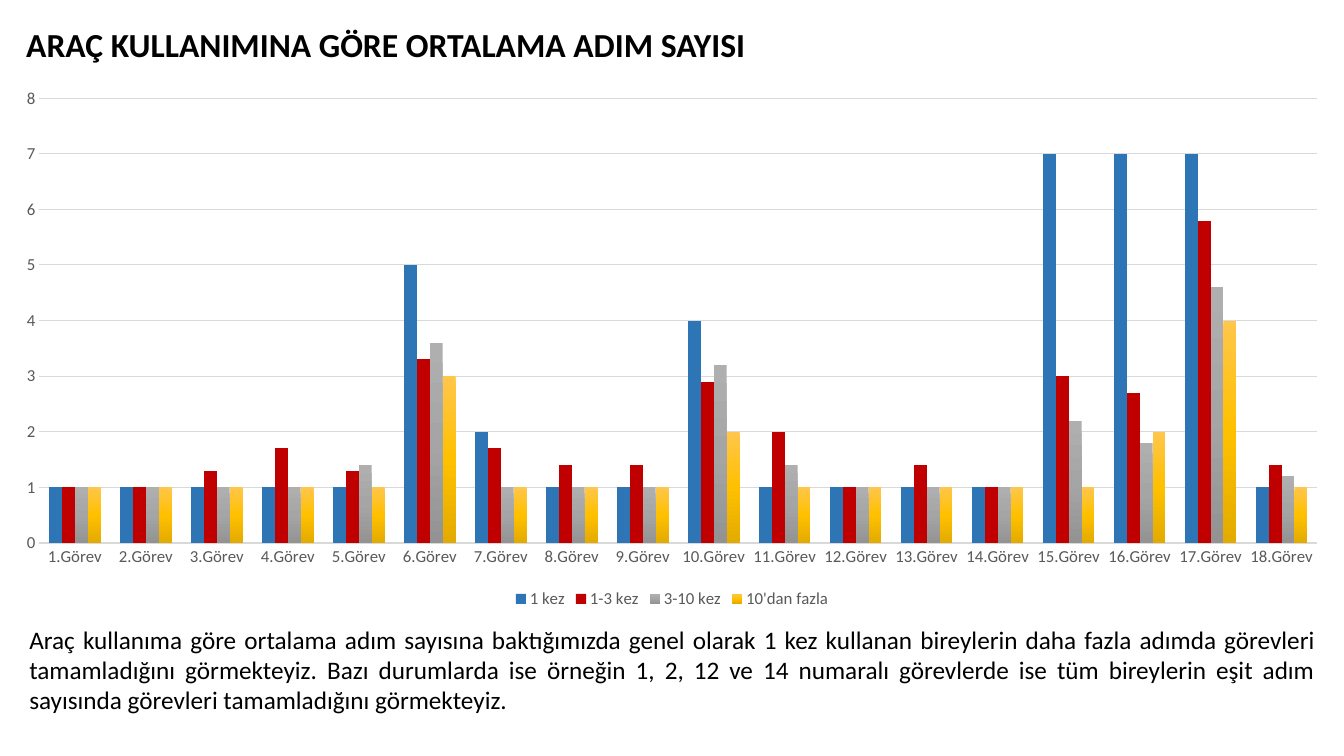
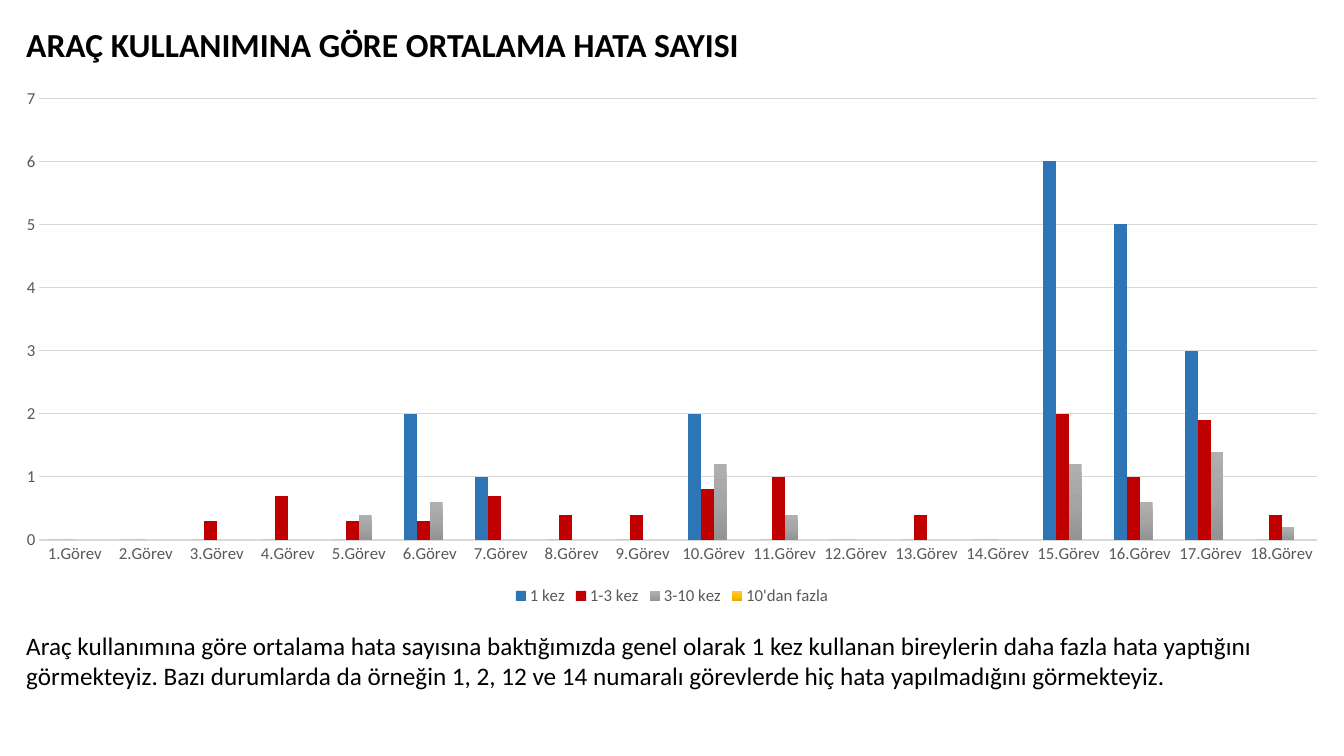
from copy import deepcopy
from dataclasses import dataclass

from pptx import Presentation
from pptx import util as u
from pptx.chart.data import CategoryChartData
from pptx.dml.color import RGBColor
from pptx.enum import chart as ch, text
from pptx.oxml import ns, xmlchemy


@dataclass(frozen=True)
class Theme:
    face: str = "Calibri"
    ink: str = "000000"
    soft: str = "595959"
    rule: str = "D9D9D9"
    # One colour is a solid fill, three are gradient stops from top to bottom
    bars: tuple = (
        ("2E75B6",),
        ("C00000",),
        ("AFAFAF", "A5A5A5", "939393"),
        ("FFC64B", "FFC000", "E3AB00"),
    )
    head: int = 24
    body: int = 18
    label: int = 12


# Chart labels shared by both slides
TASKS = [f"{n}.Görev" for n in range(1, 19)]
GROUPS = ["1 kez", "1-3 kez", "3-10 kez", "10'dan fazla"]


def put(obj, **vals):
    for key, val in vals.items():
        setattr(obj, key, val)


def inch(*sizes):
    return [u.Inches(size) for size in sizes]


class Deck:
    def __init__(self, theme):
        self.theme = theme
        self.prs = Presentation()
        put(self.prs, slide_width=u.Inches(13.33), slide_height=u.Inches(7.5))
        self.slide = None

    def add(self):
        self.slide = self.prs.slides.add_slide(self.prs.slide_layouts[1])

    def font(self, font, size, color, bold=False):
        put(font, name=self.theme.face, size=u.Pt(size), bold=bold)
        font.color.rgb = RGBColor.from_string(color)

    def fill(self, holder, words, box, size, align, bold=False):
        """Place a placeholder and give it one formatted paragraph."""
        left, top, width, height = inch(*box)
        put(holder, left=left, top=top, width=width, height=height)
        frame = holder.text_frame
        frame.text = words
        put(frame, word_wrap=True, vertical_anchor=text.MSO_ANCHOR.TOP,
            auto_size=text.MSO_AUTO_SIZE.SHAPE_TO_FIT_TEXT)
        para = frame.paragraphs[0]
        put(para, alignment=align, space_before=u.Pt(0), line_spacing=1.0)
        self.font(para.runs[0].font, size, self.theme.ink, bold)
        return para

    def title(self, words):
        self.fill(self.slide.shapes.title, words, (0.16, 0.19, 7.67, 0.5),
                  self.theme.head, text.PP_ALIGN.LEFT, True)

    def note(self, words, box, align):
        para = self.fill(self.slide.placeholders[1], words, box,
                         self.theme.body, align)
        # Plain text: no bullet, no hanging indent
        props = para._p.get_or_add_pPr()
        props.set("marL", "0")
        props.set("indent", "0")
        props.append(xmlchemy.OxmlElement("a:buNone"))

    def paint(self, bar, tones):
        fill = bar.format.fill
        if len(tones) == 1:
            fill.solid()
            fill.fore_color.rgb = RGBColor.from_string(tones[0])
            return
        fill.gradient()
        fill.gradient_angle = 270
        stops = next(bar._element.iter(ns.qn("a:gsLst")))
        while len(stops) < len(tones):
            stops.append(deepcopy(stops[0]))
        for i, (stop, tone) in enumerate(zip(fill.gradient_stops, tones)):
            stop.position = i / (len(tones) - 1)
            stop.color.rgb = RGBColor.from_string(tone)

    def line(self, line, width):
        line.width = u.Pt(width)
        line.color.rgb = RGBColor.from_string(self.theme.rule)

    def chart(self, rows, height, top):
        data = CategoryChartData()
        data.categories = TASKS
        for name, row in zip(GROUPS, rows):
            data.add_series(name, row)
        chart = self.slide.shapes.add_chart(
            ch.XL_CHART_TYPE.COLUMN_CLUSTERED,
            *inch(0, 0.77, 13.33, height), data).chart
        put(chart, has_title=False, has_legend=True)
        self.font(chart.font, 10, self.theme.ink)

        # Bars
        plot = chart.plots[0]
        put(plot, gap_width=150, overlap=0, vary_by_categories=False)
        for bar, tones in zip(plot.series, self.theme.bars):
            self.paint(bar, tones)

        # Axes and legend
        cat, val = chart.category_axis, chart.value_axis
        for axis in (cat, val):
            put(axis, major_tick_mark=ch.XL_TICK_MARK.NONE,
                minor_tick_mark=ch.XL_TICK_MARK.NONE)
            self.font(axis.tick_labels.font, self.theme.label, self.theme.soft)
        put(val, minimum_scale=0, maximum_scale=top, major_unit=1,
            has_major_gridlines=True)
        self.line(cat.format.line, 1)
        self.line(val.major_gridlines.format.line, 0.75)
        val.format.line.fill.background()
        put(chart.legend, position=ch.XL_LEGEND_POSITION.BOTTOM,
            include_in_layout=False)
        self.font(chart.legend.font, self.theme.label, self.theme.soft)


def main():
    deck = Deck(Theme())

    # Average steps
    deck.add()
    deck.title("ARAÇ KULLANIMINA GÖRE ORTALAMA ADIM SAYISI")
    deck.chart([
        [1, 1, 1, 1, 1, 5, 2, 1, 1, 4, 1, 1, 1, 1, 7, 7, 7, 1],
        [1, 1, 1.3, 1.7, 1.3, 3.3, 1.7, 1.4, 1.4, 2.9, 2, 1, 1.4, 1, 3, 2.7,
         5.8, 1.4],
        [1, 1, 1, 1, 1.4, 3.6, 1, 1, 1, 3.2, 1.4, 1, 1, 1, 2.2, 1.8, 4.6, 1.2],
        [1, 1, 1, 1, 1, 3, 1, 1, 1, 2, 1, 1, 1, 1, 1, 2, 4, 1],
    ], 5.31, 8)
    deck.note(
        "Araç kullanıma göre ortalama adım sayısına baktığımızda genel olarak "
        "1 kez kullanan bireylerin daha fazla adımda görevleri tamamladığını "
        "görmekteyiz. Bazı durumlarda ise örneğin 1, 2, 12 ve 14 numaralı "
        "görevlerde ise tüm bireylerin eşit adım sayısında görevleri "
        "tamamladığını görmekteyiz.",
        (0.19, 6.14, 12.96, 1.01), text.PP_ALIGN.JUSTIFY)

    # Average errors
    deck.add()
    deck.title("ARAÇ KULLANIMINA GÖRE ORTALAMA HATA SAYISI")
    deck.chart([
        [0, 0, 0, 0, 0, 2, 1, 0, 0, 2, 0, 0, 0, 0, 6, 5, 3, 0],
        [0, 0, 0.3, 0.7, 0.3, 0.3, 0.7, 0.4, 0.4, 0.8, 1, 0, 0.4, 0, 2, 1,
         1.9, 0.4],
        [0, 0, 0, 0, 0.4, 0.6, 0, 0, 0, 1.2, 0.4, 0, 0, 0, 1.2, 0.6, 1.4, 0.2],
        [0] * len(TASKS),
    ], 5.28, 7)
    deck.note(
        "Araç kullanımına göre ortalama hata sayısına baktığımızda genel "
        "olarak 1 kez kullanan bireylerin daha fazla hata yaptığını "
        "görmekteyiz. Bazı durumlarda da örneğin 1, 2, 12 ve 14 numaralı "
        "görevlerde hiç hata yapılmadığını görmekteyiz.",
        (0.16, 6.2, 12.96, 0.71), text.PP_ALIGN.LEFT)

    deck.prs.save("out.pptx")


if __name__ == "__main__":
    main()
